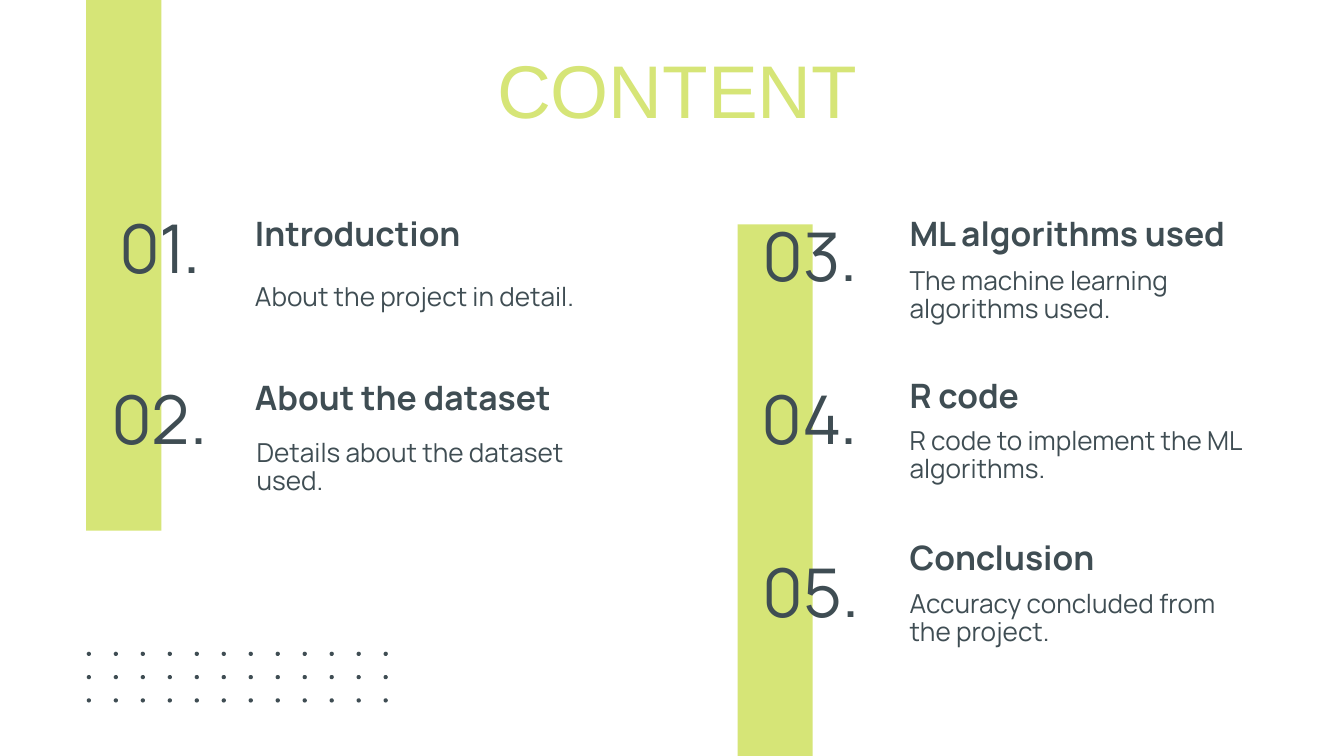
"""Build the content slide with five numbered topics."""
from itertools import product

from pptx import Presentation
from pptx.dml.color import RGBColor
from pptx.enum.shapes import MSO_SHAPE as Shape
from pptx.enum.text import MSO_ANCHOR as Anchor, PP_ALIGN as Align
from pptx.util import Cm, Pt

THEME = {
    "lime": RGBColor.from_string("D6E577"),
    "slate": RGBColor.from_string("3F4D53"),
    "title": {"name": "Arial", "size": Pt(40), "bold": False},
    "number": {"name": "Manrope", "size": Pt(36), "bold": False},
    "heading": {"name": "Manrope", "size": Pt(18), "bold": True},
    "detail": {"name": "Manrope", "size": Pt(14), "bold": False},
}

TITLE = "CONTENT"
TOPICS = [
    {"number": ("01.", 0.38, 3.91), "heading": ("Introduction", 4.57, 3.89),
     "detail": ("About the project in detail.", 4.57, 4.88)},
    {"number": ("02.", 0.51, 7.14), "heading": ("About the dataset", 4.57, 6.99),
     "detail": ("Details about the dataset used.", 4.6, 8.1)},
    {"number": ("03.", 12.8, 4.06), "heading": ("ML algorithms used", 16.94, 3.89),
     "detail": ("The machine learning algorithms used.", 16.94, 4.85)},
    {"number": ("04.", 12.8, 7.14), "heading": ("R code", 16.94, 6.96),
     "detail": ("R code to implement the ML algorithms.", 16.94, 7.87)},
    {"number": ("05.", 12.83, 10.41), "heading": ("Conclusion", 16.94, 10.03),
     "detail": ("Accuracy concluded from the project.", 16.94, 10.95)},
]
BARS = [(1.63, 0, 1.42, 10.03), (13.94, 4.24, 1.42, 10.31)]
DOTS = {"columns": 12, "rows": 3, "left": 1.64, "top": 12.32,
        "across": 0.51, "down": 0.44, "size": 0.08}

LAYOUT = {
    "title": {"size": (10.92, 1.96), "align": Align.CENTER, "spacing": 1.0,
              "anchor": Anchor.TOP, "color": "lime"},
    "number": {"size": (3.66, 1.5), "align": Align.RIGHT, "spacing": 1.0,
               "anchor": Anchor.MIDDLE, "color": "slate"},
    "heading": {"size": (7.8, 1.14), "align": Align.LEFT, "spacing": 1.0,
                "anchor": Anchor.BOTTOM, "color": "slate"},
    "detail": {"size": (6.86, 1.5), "align": Align.LEFT, "spacing": 0.9,
               "anchor": Anchor.MIDDLE, "color": "slate"},
}


def set_all(target, values):
    """Set each named attribute on the target."""
    for name, value in values.items():
        setattr(target, name, value)


def add_block(shapes, kind, color, box):
    """Add a plain filled shape without outline or shadow."""
    block = shapes.add_shape(kind, *map(Cm, box))
    block.fill.solid()
    block.fill.fore_color.rgb = THEME[color]
    block.line.fill.background()
    block.shadow.inherit = False


def add_words(shapes, role, words, left, top):
    """Add one text box in the format of its role."""
    layout = LAYOUT[role]
    frame = shapes.add_textbox(*map(Cm, (left, top, *layout["size"]))).text_frame
    set_all(frame, {"word_wrap": True, "vertical_anchor": layout["anchor"]})
    sides = ("left", "top", "right", "bottom")
    if role != "title":
        set_all(frame, {f"margin_{side}": Cm(0.25) for side in sides})
    paragraph = frame.paragraphs[0]
    set_all(paragraph, {"alignment": layout["align"], "line_spacing": layout["spacing"]})
    run = paragraph.add_run()
    run.text = words
    set_all(run.font, THEME[role])
    run.font.color.rgb = THEME[layout["color"]]


def main():
    """Compose the slide and save it."""
    deck = Presentation()
    set_all(deck, {"slide_width": Cm(25.4), "slide_height": Cm(14.29)})
    slide = deck.slides.add_slide(deck.slide_layouts[6])
    shapes = slide.shapes

    for bar in BARS:
        add_block(shapes, Shape.RECTANGLE, "lime", bar)
    for topic in TOPICS:
        for role, entry in topic.items():
            add_words(shapes, role, *entry)

    dot_grid = shapes.add_group_shape().shapes
    for row, column in product(range(DOTS["rows"]), range(DOTS["columns"])):
        left = DOTS["left"] + column * DOTS["across"]
        top = DOTS["top"] + row * DOTS["down"]
        add_block(dot_grid, Shape.OVAL, "slate", (left, top, DOTS["size"], DOTS["size"]))

    add_words(shapes, "title", TITLE, 7.34, 0.71)
    deck.save("out.pptx")


if __name__ == "__main__":
    main()
